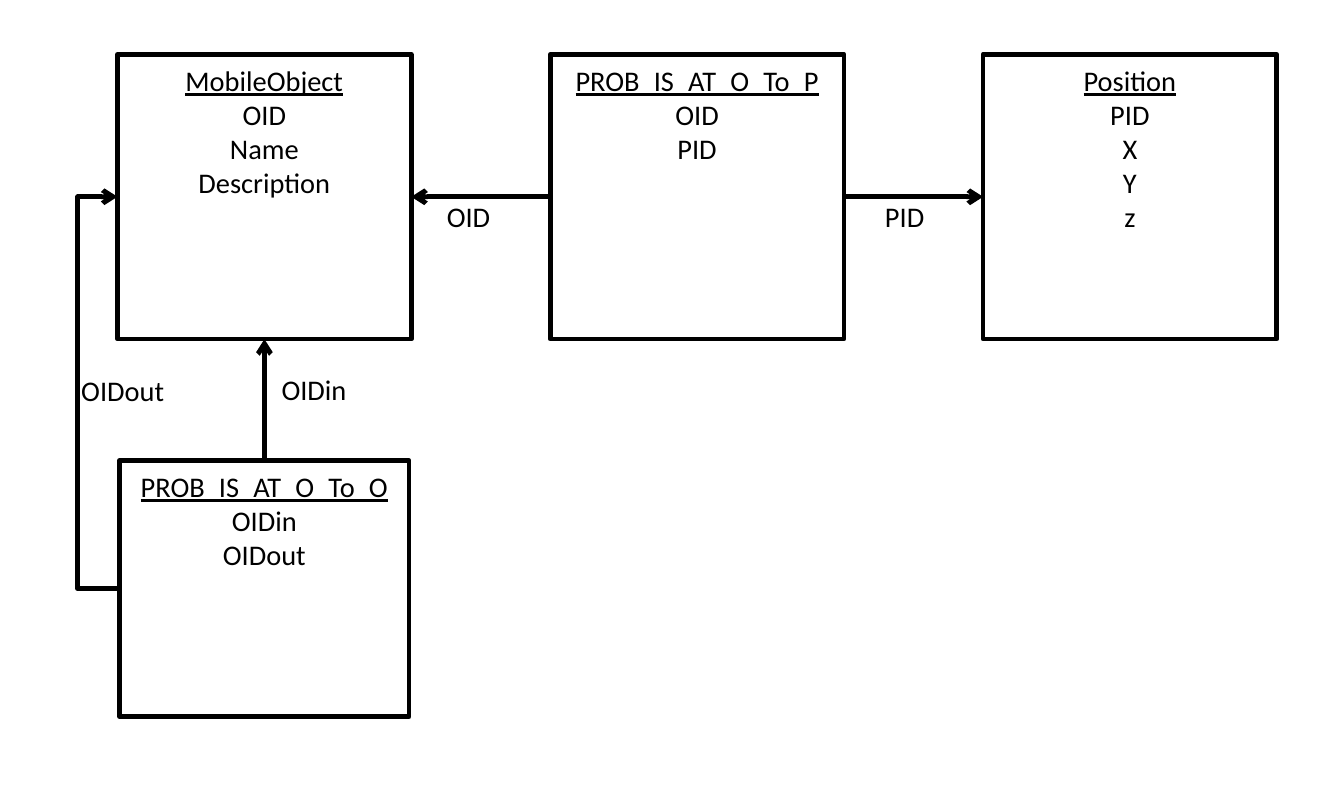
from dataclasses import dataclass

from lxml import etree
from pptx import Presentation
from pptx.dml.color import RGBColor
from pptx.enum.shapes import MSO_CONNECTOR, MSO_SHAPE
from pptx.enum.text import MSO_ANCHOR, MSO_AUTO_SIZE, PP_ALIGN
from pptx.oxml.ns import qn
from pptx.shapes.autoshape import Shape
from pptx.shapes.connector import Connector
from pptx.slide import Slide
from pptx.text.text import TextFrame
from pptx.util import Cm, Length, Pt

RECTANGLE = MSO_SHAPE.RECTANGLE
STRAIGHT, ELBOW = MSO_CONNECTOR.STRAIGHT, MSO_CONNECTOR.ELBOW
TOP_SITE, LEFT_SITE, BOTTOM_SITE, RIGHT_SITE = range(4)
BLANK_LAYOUT = 6


@dataclass(frozen=True)
class Theme:
    ink: RGBColor = RGBColor(0, 0, 0)
    font: str = "Calibri"
    text_size: Length = Pt(12)
    line_width: Length = Pt(2)


@dataclass(frozen=True)
class Entity:
    """A database table; lengths are in centimetres."""
    name: str
    fields: tuple[str, ...]
    left: float
    top: float
    width: float
    height: float


@dataclass(frozen=True)
class Relation:
    source: str
    source_site: int
    target: str
    target_site: int
    bend_left: float | None = None


@dataclass(frozen=True)
class Label:
    text: str
    left: float
    top: float
    width: float


THEME = Theme()
OBJECT, POSITION = "MobileObject", "Position"
OBJECT_TO_POSITION, OBJECT_TO_OBJECT = "PROB_IS_AT_O_To_P", "PROB_IS_AT_O_To_O"

LEFT, COLUMN_STEP, ROW_TOP = 1.75, 6.44, 0.81
BOX_WIDTH, BOX_HEIGHT = 4.37, 4.24
LOWER_INSET = 0.03  # keeps the elbow wider than zero, so that its bend can be set
LABEL_HEIGHT = 0.77

TOP_ROW = (
    (OBJECT, ("OID", "Name", "Description")),
    (OBJECT_TO_POSITION, ("OID", "PID")),
    (POSITION, ("PID", "X", "Y", "z")),
)
ENTITIES = [
    Entity(name, fields, LEFT + column * COLUMN_STEP, ROW_TOP, BOX_WIDTH, BOX_HEIGHT)
    for column, (name, fields) in enumerate(TOP_ROW)
] + [
    Entity(OBJECT_TO_OBJECT, ("OIDin", "OIDout"), LEFT + LOWER_INSET, 6.86,
           BOX_WIDTH - 2 * LOWER_INSET, 3.81),
]
RELATIONS = (
    Relation(OBJECT_TO_POSITION, LEFT_SITE, OBJECT, RIGHT_SITE),
    Relation(OBJECT_TO_POSITION, RIGHT_SITE, POSITION, LEFT_SITE),
    Relation(OBJECT_TO_OBJECT, TOP_SITE, OBJECT, BOTTOM_SITE),
    Relation(OBJECT_TO_OBJECT, LEFT_SITE, OBJECT, LEFT_SITE, bend_left=1.16),
)
LABELS = (
    Label("OID", 6.4, 2.84, 1.17),
    Label("PID", 12.92, 2.84, 1.12),
    Label("OIDin", 3.94, 5.42, 1.5),
    Label("OIDout", 0.96, 5.43, 1.75),
)


def style_text(frame: TextFrame, alignment: PP_ALIGN) -> None:
    for para in frame.paragraphs:
        para.alignment = alignment
        for span in para.runs:
            span.font.name = THEME.font
            span.font.size = THEME.text_size
            span.font.color.rgb = THEME.ink


def draw_entity(page: Slide, entity: Entity) -> Shape:
    box = page.shapes.add_shape(RECTANGLE, Cm(entity.left), Cm(entity.top),
                                Cm(entity.width), Cm(entity.height))
    box.shadow.inherit = False
    box.fill.background()
    box.line.color.rgb = THEME.ink
    box.line.width = THEME.line_width
    frame = box.text_frame
    frame.vertical_anchor = MSO_ANCHOR.TOP
    frame.text = "\n".join((entity.name, *entity.fields))
    style_text(frame, PP_ALIGN.CENTER)
    frame.paragraphs[0].runs[0].font.underline = True
    return box


def set_bend(connector: Connector, bend_left: Length) -> None:
    """Place the upright part of an elbow at the given distance from the page edge."""
    ratio = (connector.begin_x - bend_left) / connector.width
    geometry = connector.element.spPr.find(qn("a:prstGeom"))
    guides = geometry.find(qn("a:avLst"))
    if guides is None:
        guides = etree.SubElement(geometry, qn("a:avLst"))
    etree.SubElement(guides, qn("a:gd"), name="adj1", fmla=f"val {round(ratio * 100000)}")


def draw_relation(page: Slide, relation: Relation, boxes: dict[str, Shape]) -> None:
    kind = STRAIGHT if relation.bend_left is None else ELBOW
    connector = page.shapes.add_connector(kind, 0, 0, 0, 0)
    connector.begin_connect(boxes[relation.source], relation.source_site)
    connector.end_connect(boxes[relation.target], relation.target_site)
    if relation.bend_left is not None:
        set_bend(connector, Cm(relation.bend_left))
    connector.line.color.rgb = THEME.ink
    connector.line.width = THEME.line_width
    properties = connector.element.spPr
    etree.SubElement(properties.find(qn("a:ln")), qn("a:tailEnd"), type="arrow")
    etree.SubElement(properties, qn("a:effectLst"))


def draw_label(page: Slide, label: Label) -> None:
    box = page.shapes.add_textbox(Cm(label.left), Cm(label.top),
                                  Cm(label.width), Cm(LABEL_HEIGHT))
    frame = box.text_frame
    frame.word_wrap = False
    frame.auto_size = MSO_AUTO_SIZE.SHAPE_TO_FIT_TEXT
    frame.text = label.text
    style_text(frame, PP_ALIGN.LEFT)


def main() -> None:
    deck = Presentation()
    deck.slide_width, deck.slide_height = Cm(20), Cm(12)
    page = deck.slides.add_slide(deck.slide_layouts[BLANK_LAYOUT])
    boxes = {entity.name: draw_entity(page, entity) for entity in ENTITIES}
    for relation in RELATIONS:
        draw_relation(page, relation, boxes)
    for label in LABELS:
        draw_label(page, label)
    deck.save("out.pptx")


if __name__ == "__main__":
    main()
